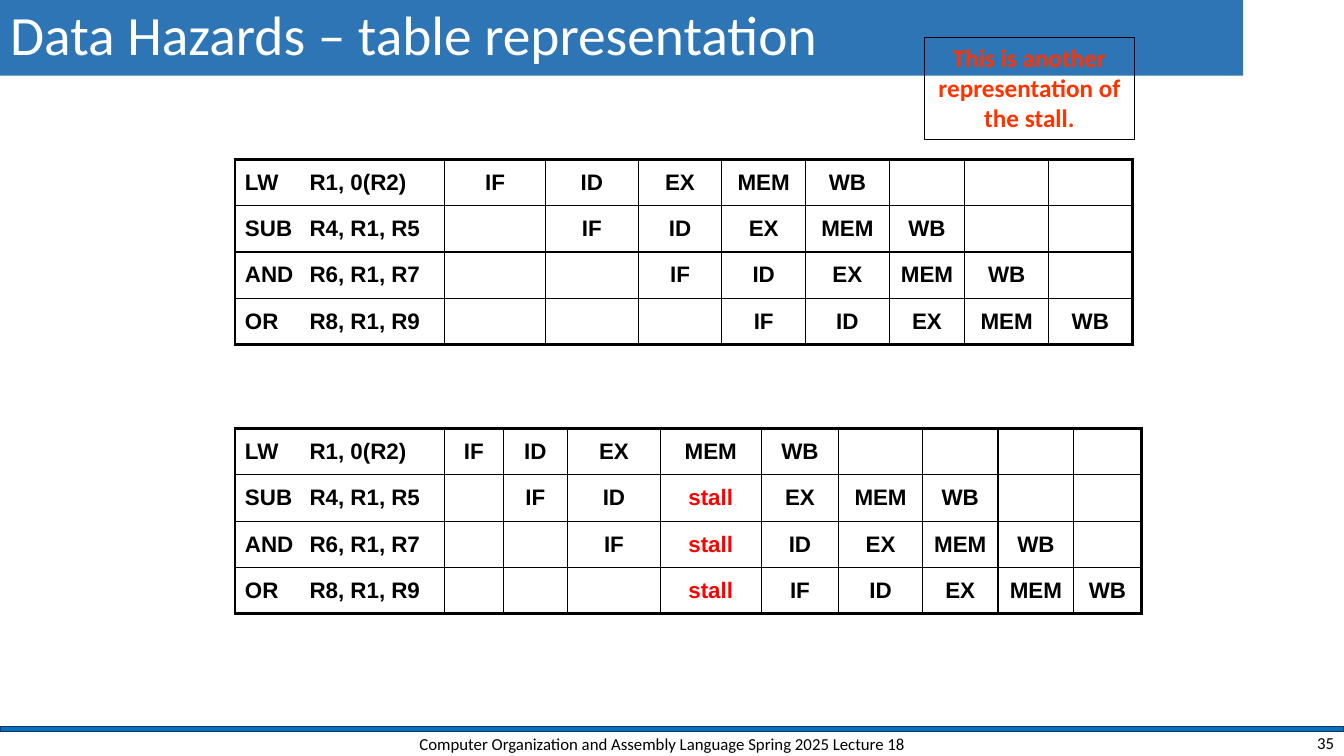
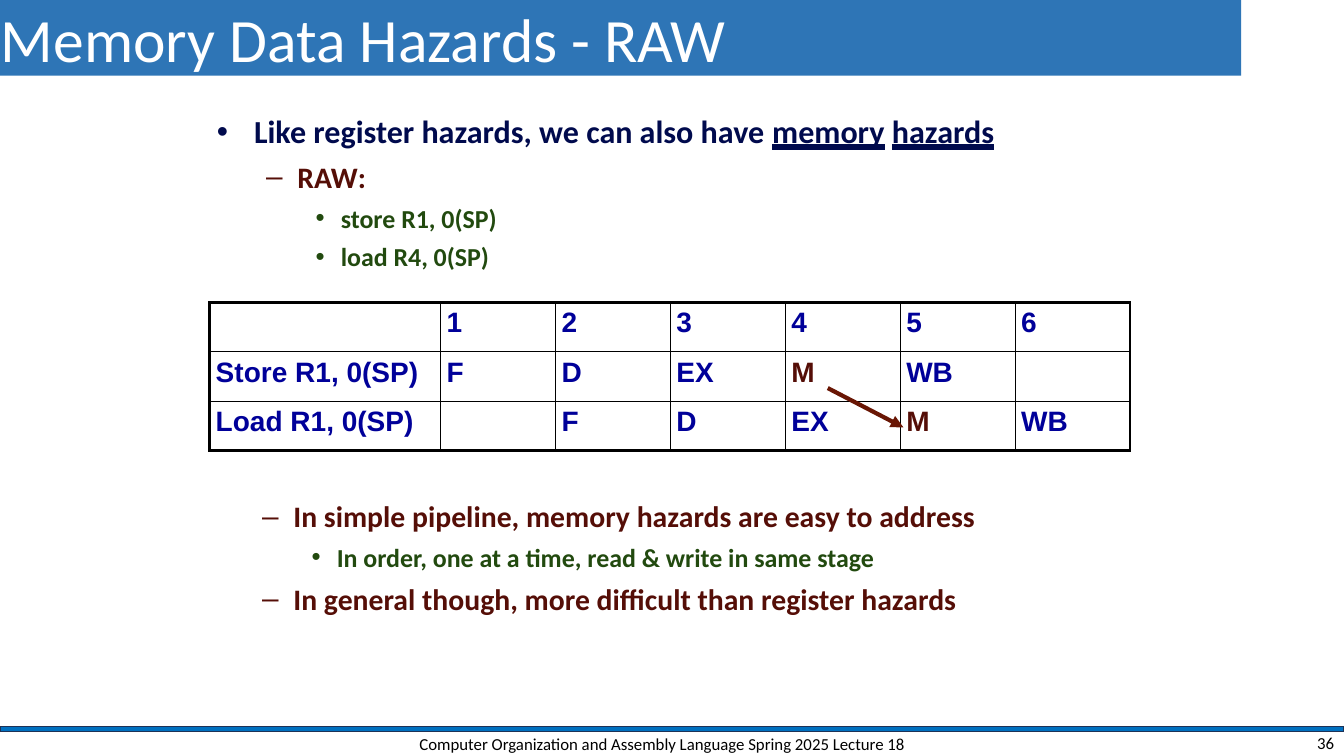
"""Build two lecture slides on pipeline data hazards."""
from pptx import Presentation
from pptx.dml.color import RGBColor
from pptx.enum.shapes import MSO_CONNECTOR, MSO_SHAPE
from pptx.enum.text import MSO_ANCHOR, MSO_AUTO_SIZE, MSO_UNDERLINE, PP_ALIGN
from pptx.oxml.ns import qn
from pptx.util import Inches, Pt
from lxml.etree import SubElement

BLACK, WHITE, RED = "000000", "FFFFFF", "FF0000"
TITLE_BLUE, BAR_BLUE, BAR_EDGE = "2E75B6", "0070C0", "1E3256"
NAVY, MAROON, GREEN = "000A4D", "550E07", "224A0F"
CELL_BLUE, NOTE_ORANGE, ARROW_BROWN = "000099", "FF3300", "691604"
THIN, THICK = 1, 2.25

FOOTER = "Computer Organization and Assembly Language Spring 2025 Lecture 18"
NOTE = "This is another representation of the stall."
INSTRUCTIONS = ["LW\tR1, 0(R2)", "SUB\tR4, R1, R5", "AND\tR6, R1, R7", "OR\tR8, R1, R9"]
IDEAL = ["IF ID EX MEM WB"] * 4
STALLED = ["IF ID EX MEM WB", "IF ID stall EX MEM WB", "IF stall ID EX MEM WB",
           "stall IF ID EX MEM WB"]
PIPELINES = [
    (1.58, IDEAL, [2.08, 1, 0.92, 0.83, 0.83, 0.83, 0.75, 0.83, 0.83]),
    (4.25, STALLED, [2.08, 0.58, 0.64, 0.92, 1, 0.77, 0.83, 0.75, 0.75, 0.67]),
]
MEMORY_ROWS = [
    ["", "1", "2", "3", "4", "5", "6"],
    ["Store R1, 0(SP)", "F", "D", "EX", "M", "WB", ""],
    ["Load R1, 0(SP)", "", "F", "D", "EX", "M", "WB"],
]
LEVELS = [
    dict(mark="•", left=0.38, hang=0.37, size=22.9, color=NAVY, before=7.4),
    dict(mark="–", left=0.81, hang=0.31, size=21.2, color=MAROON, before=6),
    dict(mark="•", left=1.24, hang=0.25, size=18.5, color=GREEN, before=5.5),
]
HAZARDS = [
    (0, ["Like register hazards, we can also have ", "memory", " ", "hazards"]),
    (1, ["RAW:"]),
    (2, ["store R1, 0(SP)"]),
    (2, ["load R4, 0(SP)"]),
]
REMARKS = [
    (1, ["In simple pipeline, memory hazards are easy to address"]),
    (2, ["In order, one at a time, read & write in same stage"]),
    (1, ["In general though, more difficult than register hazards"]),
]
UNDERLINED = {"memory", "hazards"}


def rgb(value):
    """Turn a hex string into a colour."""
    return RGBColor.from_string(value)


def style(p, size, color, name="Calibri", bold=False, align=PP_ALIGN.LEFT):
    """Set the font and alignment of a paragraph."""
    p.alignment = align
    p.font.name, p.font.size, p.font.bold = name, Pt(size), bold
    p.font.color.rgb = rgb(color)


def set_margins(frame, left, top, right, bottom):
    """Set the inner margins of a text frame or cell."""
    frame.margin_left, frame.margin_top = Inches(left), Inches(top)
    frame.margin_right, frame.margin_bottom = Inches(right), Inches(bottom)


def add_text(s, box, text="", anchor=MSO_ANCHOR.MIDDLE):
    """Add a wrapping text box."""
    sp = s.shapes.add_textbox(*map(Inches, box))
    tf = sp.text_frame
    tf.word_wrap, tf.vertical_anchor = True, anchor
    tf.text = text
    return sp


def add_bar(prs, s):
    """Draw the footer bar and move it to the slide's layout."""
    sp = s.shapes.add_shape(MSO_SHAPE.RECTANGLE, 0, Inches(7.21), prs.slide_width, Inches(0.05))
    sp.shadow.inherit = False
    sp.fill.solid()
    sp.fill.fore_color.rgb = rgb(BAR_BLUE)
    sp.line.color.rgb, sp.line.width = rgb(BAR_EDGE), Pt(1)
    s.slide_layout.shapes.element.append(sp.element)


def add_slide(prs, title, size, width, number):
    """Add a slide with its title band, footer and number."""
    s = prs.slides.add_slide(prs.slide_layouts[5])
    sp = s.shapes.title
    sp.left, sp.top, sp.width, sp.height = 0, 0, Inches(width), Inches(0.75)
    sp.fill.solid()
    sp.fill.fore_color.rgb = rgb(TITLE_BLUE)
    tf = sp.text_frame
    tf.text = title
    tf.auto_size, tf.vertical_anchor = MSO_AUTO_SIZE.NONE, MSO_ANCHOR.MIDDLE
    style(tf.paragraphs[0], size, WHITE)
    for box, text, align in [((3.92, 7.24, 5.3, 0.28), FOOTER, PP_ALIGN.CENTER),
                             ((10.33, 7.24, 3, 0.25), str(number), PP_ALIGN.RIGHT)]:
        p = add_text(s, box, text).text_frame.paragraphs[0]
        style(p, 12, BLACK, align=align)
    return s


def set_borders(cell, widths):
    """Draw the left, right, top and bottom borders of a cell."""
    tc_pr = cell._tc.get_or_add_tcPr()
    for side, width in zip("LRTB", widths):
        ln = SubElement(tc_pr, qn(f"a:ln{side}"), w=str(Pt(width)))
        SubElement(SubElement(ln, qn("a:solidFill")), qn("a:srgbClr"), val=BLACK)


def add_grid(s, left, top, rows, widths, height, format_cell):
    """Add a table with a thick outline and thin inner lines."""
    n, m = len(rows), len(widths)
    table = s.shapes.add_table(n, m, Inches(left), Inches(top), Inches(sum(widths)),
                               Inches(height * n)).table
    table.first_row = table.horz_banding = False
    for column, width in zip(table.columns, widths):
        column.width = Inches(width)
    for i, row in enumerate(rows):
        table.rows[i].height = Inches(height)
        for j, text in enumerate(row):
            cell = table.cell(i, j)
            edges = (j == 0, j == m - 1, i == 0, i == n - 1)
            set_borders(cell, [THICK if edge else THIN for edge in edges])
            cell.fill.background()
            cell.text = text
            format_cell(cell, j)


def format_pipeline_cell(cell, column):
    """Format a cell of the instruction timing tables."""
    cell.vertical_anchor = MSO_ANCHOR.MIDDLE
    p = cell.text_frame.paragraphs[0]
    if column == 0:
        tabs = SubElement(p._p.get_or_add_pPr(), qn("a:tabLst"))
        SubElement(tabs, qn("a:tab"), pos=str(Inches(0.64)), algn="l")
    style(p, 16, RED if cell.text == "stall" else BLACK, "Arial", True,
          PP_ALIGN.CENTER if column else PP_ALIGN.LEFT)


def format_memory_cell(cell, column):
    """Format a cell of the memory hazard table."""
    set_margins(cell, 0.06, 0.05, 0, 0)
    color = MAROON if cell.text == "M" else CELL_BLUE
    style(cell.text_frame.paragraphs[0], 20, color, "Arial", True)


def add_bullets(s, box, items, shift=0):
    """Add a bulleted list, with its indents reduced by shift."""
    tf = add_text(s, box, anchor=MSO_ANCHOR.TOP).text_frame
    set_margins(tf, 0, 0.1, 0, 0)
    for i, (level, runs) in enumerate(items):
        look = LEVELS[level]
        p = tf.add_paragraph() if i else tf.paragraphs[0]
        p.level = level
        p_pr = p._p.get_or_add_pPr()
        p_pr.set("marL", str(Inches(look["left"] - shift)))
        p_pr.set("indent", str(-Inches(look["hang"])))
        SubElement(p_pr, qn("a:buFont"), typeface="Arial")
        SubElement(p_pr, qn("a:buChar"), char=look["mark"])
        p.space_before = Pt(look["before"] if i else 0)
        style(p, look["size"], look["color"], bold=True)
        for text in runs:
            r = p.add_run()
            r.text = text
            if text in UNDERLINED:
                r.font.underline = MSO_UNDERLINE.HEAVY_LINE


def add_arrow(s, start, end):
    """Add an arrow between two points."""
    line = s.shapes.add_connector(MSO_CONNECTOR.STRAIGHT, *map(Inches, start + end))
    line.line.color.rgb, line.line.width = rgb(ARROW_BROWN), Pt(3)
    SubElement(line.line._get_or_add_ln(), qn("a:tailEnd"), type="triangle")
    SubElement(line.element.spPr, qn("a:effectLst"))


def build_table_slide(prs):
    """Build the slide with the two timing tables."""
    s = add_slide(prs, "Data Hazards – table representation", 39.6, 12.33, 35)
    add_bar(prs, s)
    s.shapes.title.text_frame.paragraphs[0].line_spacing = 0.9
    note = add_text(s, (9.17, 0.37, 2.08, 1.01), NOTE, MSO_ANCHOR.TOP)
    note.line.color.rgb, note.line.width = rgb(BLACK), Pt(0.75)
    style(note.text_frame.paragraphs[0], 18, NOTE_ORANGE, bold=True, align=PP_ALIGN.CENTER)
    for top, timings, widths in PIPELINES:
        rows = []
        for cycle, (instruction, stages) in enumerate(zip(INSTRUCTIONS, timings)):
            row = [instruction] + [""] * cycle + stages.split()
            rows.append(row + [""] * (len(widths) - len(row)))
        add_grid(s, 2.33, top, rows, widths, 0.46, format_pipeline_cell)


def build_memory_slide(prs):
    """Build the slide on memory hazards."""
    s = add_slide(prs, "Memory Data Hazards - RAW", 44, 12.31, 36)
    set_margins(s.shapes.title.text_frame, 0.01, 0.01, 0, 0)
    add_bullets(s, (2.14, 1.01, 9.11, 1.69), HAZARDS)
    add_bullets(s, (2.59, 4.84, 8.62, 1.28), REMARKS, shift=0.49)
    add_grid(s, 2.08, 3, MEMORY_ROWS, [2.29] + [1.14] * 6, 0.49, format_memory_cell)
    add_arrow(s, (8.21, 3.85), (8.96, 4.24))


def main():
    """Build and save the presentation."""
    prs = Presentation()
    prs.slide_width, prs.slide_height = Inches(13.33), Inches(7.5)
    build_table_slide(prs)
    build_memory_slide(prs)
    prs.save("out.pptx")


if __name__ == "__main__":
    main()
